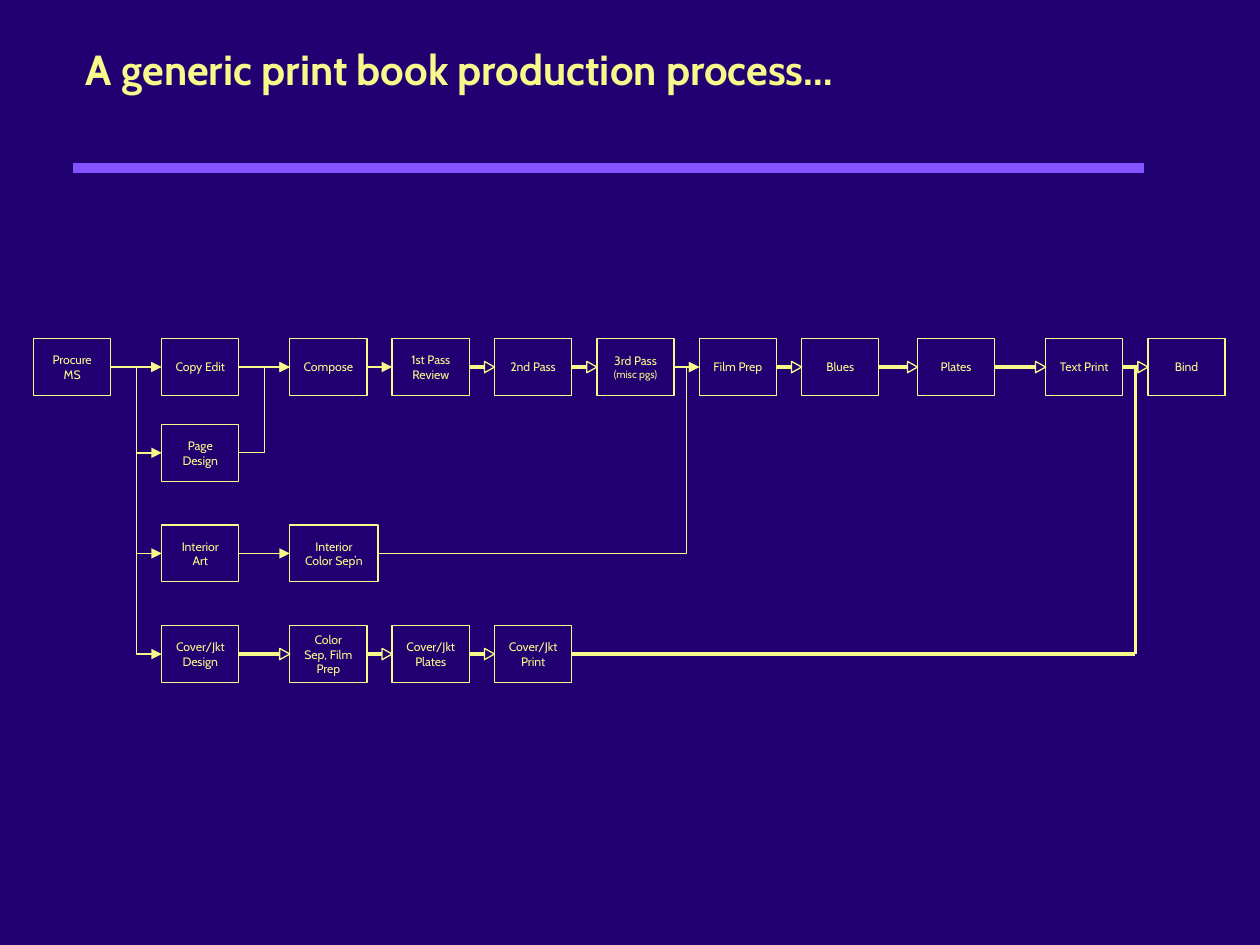
import itertools

import pptx
import pptx.dml.color
import pptx.enum.shapes
import pptx.enum.text
import pptx.oxml
import pptx.oxml.ns
import pptx.util

Pt = pptx.util.Pt
FONT = "Cabin"
NAVY, YELLOW, PURPLE = "210072", "F5FA8A", "8453FF"
PITCHES = [73.2] * 2 + [58.5] * 5 + [66.2, 73.2, 58.5]
COLUMNS = list(itertools.accumulate(PITCHES, initial=0))
ROWS = [0, 49, 106.5, 164]
STEP_WIDTH, STEP_HEIGHT = 44.1, 32.5
HEAD_WIDTH, HEAD_HEIGHT = 5.8, 6.5

STEPS = {
    (0, 0): ["Procure MS"],
    (0, 1): ["Copy Edit"],
    (0, 2): ["Compose"],
    (0, 3): ["1st Pass Review"],
    (0, 4): ["2nd Pass"],
    (0, 5): ["3rd Pass ", "(misc pgs)"],
    (0, 6): ["Film Prep"],
    (0, 7): ["Blues"],
    (0, 8): ["Plates"],
    (0, 9): ["Text Print"],
    (0, 10): ["Bind"],
    (1, 1): ["Page Design"],
    (2, 1): ["Interior Art"],
    (2, 2): ["Interior Color Sep’n"],
    (3, 1): ["Cover/Jkt Design"],
    (3, 2): ["Color Sep, Film Prep"],
    (3, 3): ["Cover/Jkt Plates"],
    (3, 4): ["Cover/Jkt Print"],
}
WIDE_STEPS = {(2, 2): 50.4}
OPEN_ARROWS = [(0, 3), (0, 4), (0, 6), (0, 7), (0, 8), (0, 9), (3, 1), (3, 2), (3, 3)]
SOLID_ARROWS = [
    ((0, 0), (0, 1), 0.5),
    ((0, 0), (1, 1), 0.5),
    ((0, 0), (2, 1), 0.5),
    ((0, 0), (3, 1), 0.5),
    ((0, 1), (0, 2), 0.5),
    ((1, 1), (0, 2), 0.5),
    ((0, 2), (0, 3), 0.5),
    ((2, 1), (2, 2), 0.5),
    ((2, 2), (0, 6), 0.96),
    ((0, 5), (0, 6), 0.5),
]


def color(value):
    """Turn a hex string into a colour."""
    return pptx.dml.color.RGBColor.from_string(value)


def add_span(para, text, size, bold=False):
    """Add one run of yellow text to a paragraph."""
    span = para.add_run()
    span.text = text
    span.font.name = FONT
    span.font.size = Pt(size)
    span.font.bold = bold
    span.font.color.rgb = color(YELLOW)


def add_line(page, start, end, stroke=YELLOW, width=0, elbow=False):
    """Draw a straight or elbow connector between two points."""
    kinds = pptx.enum.shapes.MSO_CONNECTOR
    kind = kinds.ELBOW if elbow else kinds.STRAIGHT
    line = page.shapes.add_connector(kind, *map(Pt, start + end))
    line.line.color.rgb = color(stroke)
    line.line.width = Pt(width)
    pptx.oxml.ns.qn("a:effectLst")
    line._element.spPr.append(pptx.oxml.parse_xml(
        f'<a:effectLst {pptx.oxml.ns.nsdecls("a")}/>'))
    return line


def add_outline(shape):
    """Leave a shape hollow with a thin yellow outline."""
    shape.shadow.inherit = False
    shape.fill.background()
    shape.line.color.rgb = color(YELLOW)
    shape.line.width = Pt(0)


def add_solid_arrow(page, start, end, bend):
    """Connect two points with a filled arrowhead, bending where rows differ."""
    elbow = start[1] != end[1]
    arrow = add_line(page, start, end, width=0.75, elbow=elbow)
    names = pptx.oxml.ns.nsdecls("a")
    arrow.line._get_or_add_ln().append(
        pptx.oxml.parse_xml(f'<a:tailEnd {names} type="triangle"/>'))
    if elbow:
        guides = arrow._element.spPr.find(".//" + pptx.oxml.ns.qn("a:avLst"))
        guides.append(pptx.oxml.parse_xml(
            f'<a:gd {names} name="adj1" fmla="val {round(bend * 100000)}"/>'))


def add_open_arrow(page, start, end):
    """Connect two points on a row with a hollow arrowhead."""
    tip, middle = end
    base = tip - HEAD_WIDTH
    add_line(page, start, (base, middle))
    head = page.shapes.build_freeform(Pt(tip), Pt(middle))
    head.add_line_segments([
        (Pt(base), Pt(middle + HEAD_HEIGHT / 2)),
        (Pt(base), Pt(middle - HEAD_HEIGHT / 2)),
    ], close=True)
    add_outline(head.convert_to_shape())


def add_step(page, box, texts):
    """Draw one process step with its centred label."""
    step = page.shapes.add_shape(
        pptx.enum.shapes.MSO_SHAPE.RECTANGLE, *map(Pt, box))
    add_outline(step)
    frame = step.text_frame
    frame.word_wrap = True
    frame.vertical_anchor = pptx.enum.text.MSO_ANCHOR.MIDDLE
    para = frame.paragraphs[0]
    para.alignment = pptx.enum.text.PP_ALIGN.CENTER
    for text, size in zip(texts, (7, 6)):
        add_span(para, text, size)


def add_heading(page, box):
    """Place the title and the rule below it."""
    left, top, width, height = box
    rule = top + height + 12
    add_line(page, (left, rule), (left + width, rule), PURPLE, 6)
    frame = page.shapes.add_textbox(*map(Pt, box)).text_frame
    frame.word_wrap = True
    frame.vertical_anchor = pptx.enum.text.MSO_ANCHOR.MIDDLE
    para = frame.paragraphs[0]
    para.line_spacing = 0.8
    add_span(para, "A generic print book production process…", 24, bold=True)


def add_process(page, box):
    """Place the process steps and the arrows that join them."""
    left, top = box[:2]

    def entry(step):
        row, column = step
        return left + COLUMNS[column], top + ROWS[row] + STEP_HEIGHT / 2

    def exit_point(step):
        start, middle = entry(step)
        return start + WIDE_STEPS.get(step, STEP_WIDTH), middle

    for row, column in OPEN_ARROWS:
        add_open_arrow(page, exit_point((row, column)), entry((row, column + 1)))
    cover, bind = exit_point((3, 4)), entry((0, 10))
    corner = (bind[0] - 7.2, cover[1])
    add_line(page, cover, corner)
    add_line(page, corner, (corner[0], bind[1]))
    for step, texts in STEPS.items():
        row, column = step
        add_step(page, (left + COLUMNS[column], top + ROWS[row],
                        WIDE_STEPS.get(step, STEP_WIDTH), STEP_HEIGHT), texts)
    for source, target, bend in SOLID_ARROWS:
        add_solid_arrow(page, exit_point(source), entry(target), bend)


def main():
    """Build the deck and save it."""
    deck = pptx.Presentation()
    deck.slide_width, deck.slide_height = Pt(720), Pt(540)
    page = deck.slides.add_slide(deck.slide_layouts[6])
    page.background.fill.solid()
    page.background.fill.fore_color.rgb = color(NAVY)
    add_heading(page, (42, 0, 612, 84))
    add_process(page, (19.2, 193.5, 681, 196.5))
    deck.save("out.pptx")


if __name__ == "__main__":
    main()
